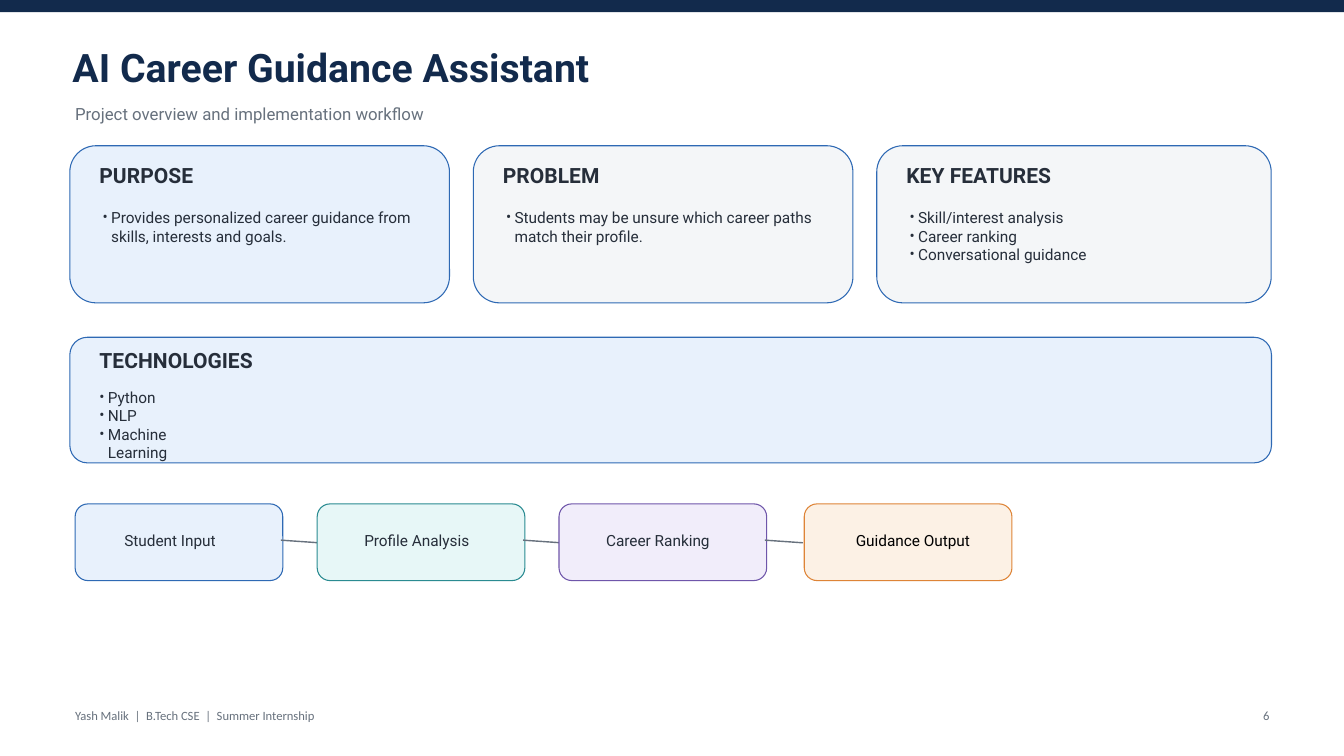
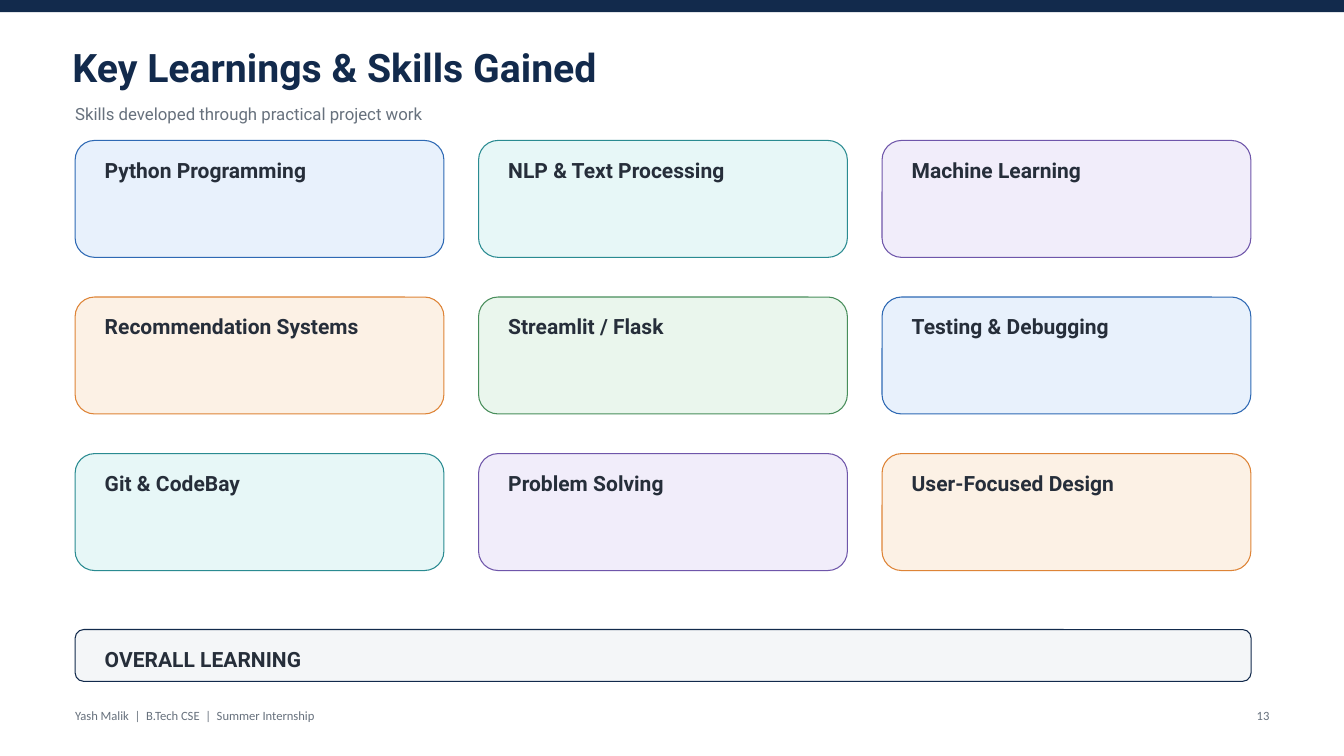
from dataclasses import dataclass

from lxml.etree import SubElement
from pptx import Presentation
from pptx.dml.color import RGBColor
from pptx.enum.shapes import MSO_CONNECTOR, MSO_SHAPE
from pptx.enum.text import MSO_ANCHOR, MSO_AUTO_SIZE, PP_ALIGN
from pptx.oxml.ns import qn
from pptx.util import Cm, Pt

NAVY = RGBColor(0x12, 0x2A, 0x4C)
INK = RGBColor(0x26, 0x2E, 0x3A)
BLACK = RGBColor(0x00, 0x00, 0x00)
SLATE = RGBColor(0x67, 0x71, 0x7D)
MIST = RGBColor(0xF4, 0xF6, 0xF8)
BLUE = RGBColor(0x2E, 0x69, 0xB4)
PALE_BLUE = RGBColor(0xE8, 0xF1, 0xFC)
TEAL = RGBColor(0x2A, 0x8B, 0x91)
PALE_TEAL = RGBColor(0xE7, 0xF7, 0xF7)
PURPLE = RGBColor(0x6F, 0x56, 0xAA)
PALE_PURPLE = RGBColor(0xF1, 0xED, 0xFA)
ORANGE = RGBColor(0xDE, 0x84, 0x37)
PALE_ORANGE = RGBColor(0xFC, 0xF1, 0xE5)
GREEN = RGBColor(0x48, 0x8E, 0x5B)
PALE_GREEN = RGBColor(0xEA, 0xF6, 0xED)

LEFT = 2.84
COLUMN_STEP = 15.25
HEADING_INDENT = 1.12
BULLET_INDENT = 0.32
COMPARISON_LAYOUT = 4
TITLE_ONLY_LAYOUT = 5


@dataclass(frozen=True)
class Style:
    size: float
    color: RGBColor
    bold: bool = False
    font: str = "Roboto"
    align: PP_ALIGN = PP_ALIGN.LEFT


@dataclass(frozen=True)
class Box:
    left: float
    top: float
    width: float
    height: float

    def lengths(self) -> tuple:
        return Cm(self.left), Cm(self.top), Cm(self.width), Cm(self.height)


@dataclass(frozen=True)
class Tint:
    fill: RGBColor
    line: RGBColor


@dataclass(frozen=True)
class Card:
    heading: str
    box: Box
    tint: Tint
    heading_drop: float = 0.64


@dataclass(frozen=True)
class Topic:
    card: Card
    items: tuple
    list_box: Box


@dataclass(frozen=True)
class Step:
    label: str
    left: float
    label_left: float
    tint: Tint
    style: Style


TITLE = Style(42, NAVY, bold=True)
SUBTITLE = Style(18, SLATE)
FOOTER = Style(13.5, SLATE, font="Calibri")
PAGE_NUMBER = Style(13.5, SLATE, font="Calibri", align=PP_ALIGN.RIGHT)
HEADING = Style(22.5, INK, bold=True)
BODY = Style(16.5, INK)
FINAL_STEP = Style(16.5, BLACK, align=PP_ALIGN.CENTER)

BLUE_TINT = Tint(PALE_BLUE, BLUE)
GREY_TINT = Tint(MIST, BLUE)
TEAL_TINT = Tint(PALE_TEAL, TEAL)
PURPLE_TINT = Tint(PALE_PURPLE, PURPLE)
ORANGE_TINT = Tint(PALE_ORANGE, ORANGE)
GREEN_TINT = Tint(PALE_GREEN, GREEN)
SUMMARY_TINT = Tint(MIST, NAVY)

OVERVIEW = (
    ("PURPOSE", 14.35, BLUE_TINT,
     ("Provides personalized career guidance from skills, interests and goals.",)),
    ("PROBLEM", 14.35, GREY_TINT,
     ("Students may be unsure which career paths match their profile.",)),
    ("KEY FEATURES", 14.91, GREY_TINT,
     ("Skill/interest analysis", "Career ranking", "Conversational guidance")),
)
TECHNOLOGIES = Topic(
    Card("TECHNOLOGIES", Box(2.64, 12.75, 45.42, 4.75), BLUE_TINT, heading_drop=0.38),
    ("Python", "NLP", "Machine Learning"),
    Box(3.76, 14.66, 4.83, 2.06),
)
WORKFLOW = (
    Step("Student Input", 2.84, 4.7, BLUE_TINT, BODY),
    Step("Profile Analysis", 11.99, 13.77, TEAL_TINT, BODY),
    Step("Career Ranking", 21.13, 22.91, PURPLE_TINT, BODY),
    Step("Guidance Output", 30.4, 31.29, ORANGE_TINT, FINAL_STEP),
)
SKILLS = (
    ("Python Programming", BLUE_TINT),
    ("NLP & Text Processing", TEAL_TINT),
    ("Machine Learning", PURPLE_TINT),
    ("Recommendation Systems", ORANGE_TINT),
    ("Streamlit / Flask", GREEN_TINT),
    ("Testing & Debugging", BLUE_TINT),
    ("Git & CodeBay", TEAL_TINT),
    ("Problem Solving", PURPLE_TINT),
    ("User-Focused Design", ORANGE_TINT),
)


def add_bullet(paragraph) -> None:
    properties = paragraph._p.get_or_add_pPr()
    properties.set("marL", str(Cm(BULLET_INDENT)))
    properties.set("indent", str(-Cm(BULLET_INDENT)))
    SubElement(properties, qn("a:buFont"), typeface="Roboto")
    SubElement(properties, qn("a:buChar"), char="•")


def write(shape, lines: tuple, style: Style, bulleted: bool = False) -> None:
    frame = shape.text_frame
    frame.margin_left = frame.margin_right = frame.margin_top = frame.margin_bottom = 0
    frame.word_wrap = True
    frame.auto_size = MSO_AUTO_SIZE.SHAPE_TO_FIT_TEXT
    frame.vertical_anchor = MSO_ANCHOR.TOP
    for index, line in enumerate(lines):
        paragraph = frame.add_paragraph() if index else frame.paragraphs[0]
        if bulleted:
            add_bullet(paragraph)
        paragraph.alignment = style.align
        paragraph.space_before = Pt(0)
        paragraph.line_spacing = Pt(style.size * 1.2)
        run = paragraph.add_run()
        run.text = line
        run.font.name = style.font
        run.font.size = Pt(style.size)
        run.font.bold = style.bold
        run.font.color.rgb = style.color


def place(shape, box: Box) -> None:
    shape.left, shape.top, shape.width, shape.height = box.lengths()


def add_text(slide, text: str, box: Box, style: Style) -> None:
    write(slide.shapes.add_textbox(*box.lengths()), (text,), style)


def add_panel(slide, box: Box, tint: Tint):
    panel = slide.shapes.add_shape(MSO_SHAPE.ROUNDED_RECTANGLE, *box.lengths())
    panel.shadow.inherit = False
    panel.fill.solid()
    panel.fill.fore_color.rgb = tint.fill
    panel.line.color.rgb = tint.line
    panel.line.width = Pt(1.13)
    return panel


def add_card(slide, card: Card):
    box = card.box
    panel = add_panel(slide, box, card.tint)
    heading_box = Box(box.left + HEADING_INDENT, box.top + card.heading_drop,
                      box.width - 2.06, 1.27)
    add_text(slide, card.heading, heading_box, HEADING)
    return panel


def add_topic(slide, topic: Topic, placeholder):
    panel = add_card(slide, topic.card)
    place(placeholder, topic.list_box)
    write(placeholder, topic.items, BODY, bulleted=True)
    slide.shapes.element.append(placeholder.element)
    return panel


def add_link(slide, start: float) -> None:
    link = slide.shapes.add_connector(
        MSO_CONNECTOR.STRAIGHT, Cm(start), Cm(20.42), Cm(start + 1.44), Cm(20.52))
    link.line.color.rgb = SLATE
    link.line.width = Pt(1.5)
    SubElement(link.element.spPr, qn("a:effectLst"))


def add_workflow(slide) -> None:
    width = 7.85
    for step in WORKFLOW:
        add_panel(slide, Box(step.left, 19.05, width, 2.9), step.tint)
        if step is not WORKFLOW[-1]:
            add_link(slide, step.left + width - 0.07)
    for step in WORKFLOW:
        add_text(slide, step.label, Box(step.label_left, 20.09, 6.43, 0.69), step.style)


def start_slide(deck, layout: int, title: str, subtitle: str, number: int):
    slide = deck.slides.add_slide(deck.slide_layouts[layout])
    band = slide.shapes.add_shape(MSO_SHAPE.RECTANGLE, *Box(0, 0, 50.85, 0.46).lengths())
    band.shadow.inherit = False
    band.fill.solid()
    band.fill.fore_color.rgb = NAVY
    band.line.fill.background()
    place(slide.shapes.title, Box(2.74, 1.65, 43.33, 2.03))
    write(slide.shapes.title, (title,), TITLE)
    add_text(slide, subtitle, Box(LEFT, 3.94, 43.33, 1.09), SUBTITLE)
    add_text(slide, "Yash Malik  |  B.Tech CSE  |  Summer Internship",
             Box(LEFT, 26.75, 26.19, 0.79), FOOTER)
    add_text(slide, str(number), Box(46.96, 26.75, 1.02, 0.79), PAGE_NUMBER)
    return slide


def build_project(deck) -> None:
    slide = start_slide(deck, COMPARISON_LAYOUT, "AI Career Guidance Assistant",
                        "Project overview and implementation workflow", 6)
    lists = list(slide.placeholders)[1:]
    for column, (heading, width, tint, items) in enumerate(OVERVIEW):
        left, top = 2.64 + column * COLUMN_STEP, 5.51
        card = Card(heading, Box(left, top, width, 5.94), tint)
        list_box = Box(left + 1.24, top + 2.36, width - 2.28, 3)
        add_topic(slide, Topic(card, items, list_box), lists[column])
    technologies = add_topic(slide, TECHNOLOGIES, lists[-1])
    technologies.adjustments[0] = 0.14
    add_workflow(slide)


def build_learnings(deck) -> None:
    slide = start_slide(deck, TITLE_ONLY_LAYOUT, "Key Learnings & Skills Gained",
                        "Skills developed through practical project work", 13)
    for index, (skill, tint) in enumerate(SKILLS):
        row, column = divmod(index, 3)
        box = Box(LEFT + column * COLUMN_STEP, 5.31 + row * 5.92, 13.94, 4.42)
        add_card(slide, Card(skill, box, tint))
    add_card(slide, Card("OVERALL LEARNING", Box(LEFT, 23.8, 44.45, 1.96), SUMMARY_TINT))


def main() -> None:
    deck = Presentation()
    deck.slide_width, deck.slide_height = Cm(50.8), Cm(28.58)
    build_project(deck)
    build_learnings(deck)
    deck.save("out.pptx")


if __name__ == "__main__":
    main()
